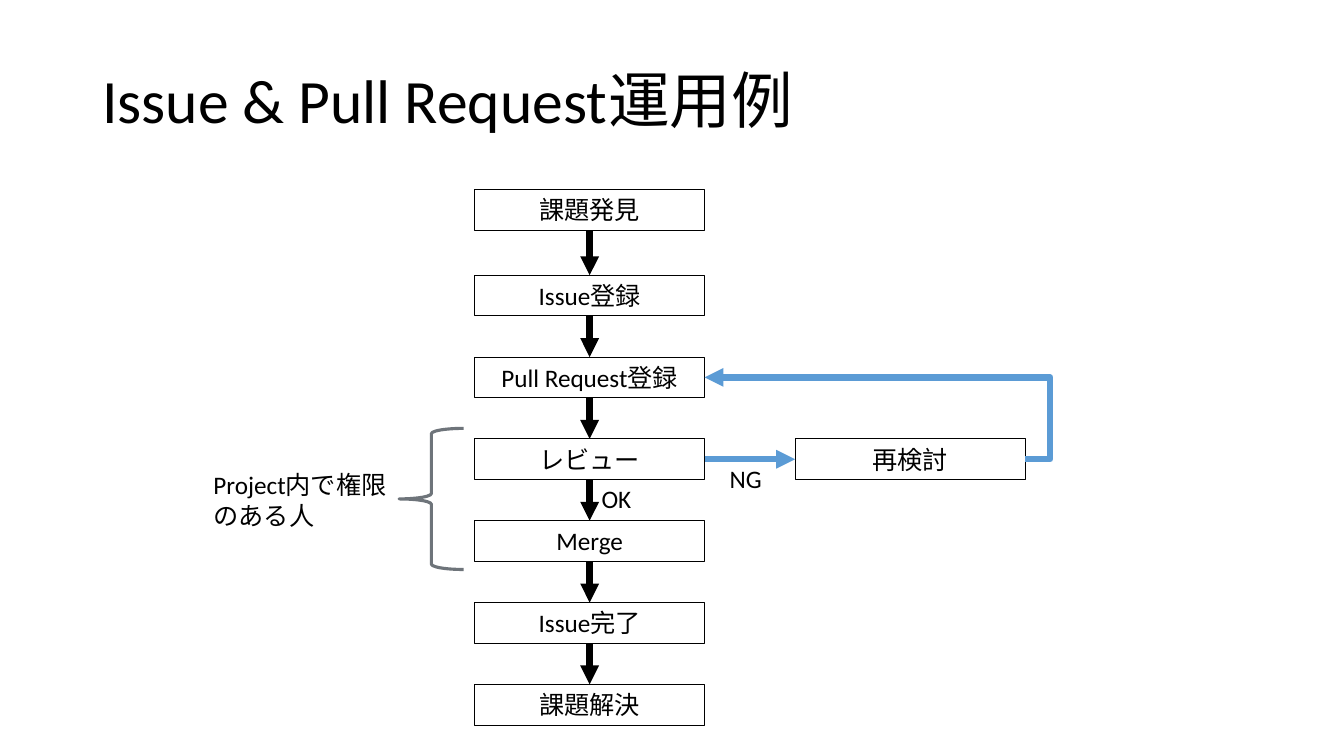
from lxml import etree
from pptx import Presentation
from pptx.dml.color import RGBColor
from pptx.enum.shapes import MSO_CONNECTOR, MSO_SHAPE
from pptx.enum.text import MSO_ANCHOR, MSO_AUTO_SIZE, PP_ALIGN
from pptx.oxml.ns import qn
from pptx.util import Pt

STRAIGHT, ELBOW = MSO_CONNECTOR.STRAIGHT, MSO_CONNECTOR.ELBOW
RECTANGLE, LEFT_BRACE = MSO_SHAPE.RECTANGLE, MSO_SHAPE.LEFT_BRACE
TOP, MIDDLE = MSO_ANCHOR.TOP, MSO_ANCHOR.MIDDLE
LEFT, CENTER = PP_ALIGN.LEFT, PP_ALIGN.CENTER
NO_FIT, GROW = MSO_AUTO_SIZE.NONE, MSO_AUTO_SIZE.SHAPE_TO_FIT_TEXT
TOP_SIDE, LEFT_SIDE, BOTTOM_SIDE, RIGHT_SIDE = range(4)

BLACK, BLUE, GRAY = "000000", "5B9BD5", "6E747A"
BOX_LEFT, BOX_WIDTH, BOX_HEIGHT = 339.1, 164.2, 29.1
REVIEW, MERGE, PULL_REQUEST = "レビュー", "Merge", "Pull Request登録"

presentation = Presentation()
presentation.slide_width, presentation.slide_height = Pt(960), Pt(540)
slide = presentation.slides.add_slide(presentation.slide_layouts[6])


def color(value):
    return RGBColor.from_string(value)


def add_text(text, left, top, width, height, size=18, align=LEFT, anchor=TOP,
             fit=GROW, spacing=1.0, outline=None):
    """Add a text box, or an outlined rectangle if outline is given."""
    area = Pt(left), Pt(top), Pt(width), Pt(height)
    if outline:
        shape = slide.shapes.add_shape(RECTANGLE, *area)
        shape.shadow.inherit = False
        shape.fill.background()
        shape.line.color.rgb = color(outline)
        shape.line.width = Pt(0.75)
    else:
        shape = slide.shapes.add_textbox(*area)
    frame = shape.text_frame
    frame.word_wrap = True
    frame.auto_size = fit
    frame.vertical_anchor = anchor
    paragraph = frame.paragraphs[0]
    paragraph.alignment = align
    paragraph.line_spacing = spacing
    run = paragraph.add_run()
    run.text = text
    run.font.name = "Calibri"
    run.font.size = Pt(size)
    run.font.color.rgb = color(BLACK)
    return shape


add_text("Issue & Pull Request運用例", 66, 21.6, 828, 104.4, size=44,
         anchor=MIDDLE, fit=NO_FIT, spacing=0.9)

# Steps of the main flow, evenly spaced after the first
later_steps = ["Issue登録", PULL_REQUEST, REVIEW, MERGE, "Issue完了", "課題解決"]
step_tops = {"課題発見": 135.5}
step_tops.update({step: 196.6 + 58.45 * i for i, step in enumerate(later_steps)})
boxes = {
    step: add_text(step, BOX_LEFT, top, BOX_WIDTH, BOX_HEIGHT,
                   align=CENTER, outline=BLACK)
    for step, top in step_tops.items()
}
rework = add_text("再検討", 568, step_tops[REVIEW], BOX_WIDTH, BOX_HEIGHT,
                  align=CENTER, outline=BLACK)

# Arrows: kind, start box and side, end box and side, colour
steps = list(boxes.values())
arrows = [(STRAIGHT, start, BOTTOM_SIDE, end, TOP_SIDE, BLACK)
          for start, end in zip(steps, steps[1:])]
arrows += [
    (STRAIGHT, boxes[REVIEW], RIGHT_SIDE, rework, LEFT_SIDE, BLUE),
    (ELBOW, rework, RIGHT_SIDE, boxes[PULL_REQUEST], RIGHT_SIDE, BLUE),
]
for kind, start, start_side, end, end_side, line_color in arrows:
    arrow = slide.shapes.add_connector(kind, 0, 0, 0, 0)
    arrow.begin_connect(start, start_side)
    arrow.end_connect(end, end_side)
    arrow.line.color.rgb = color(line_color)
    arrow.line.width = Pt(4.5)
    properties = arrow.line._get_or_add_ln()
    etree.SubElement(properties, qn("a:tailEnd"), type="triangle")
    etree.SubElement(arrow._element.spPr, qn("a:effectLst"))
    if kind == ELBOW:
        # Bend outside the right edge of the rework box
        arrow_guides = arrow._element.spPr.find(qn("a:prstGeom")).get_or_add_avLst()
        etree.SubElement(arrow_guides, qn("a:gd"), name="adj1", fmla="val -7900")

add_text("NG", 514.1, 327.6, 42.5, BOX_HEIGHT)
add_text("OK", 422.6, 342, 42.5, BOX_HEIGHT)
add_text("Project内で権限のある人", 145.4, 331.9, 139.7, 51.1)

brace = slide.shapes.add_shape(LEFT_BRACE, Pt(285.1), Pt(306), Pt(46.1), Pt(100.8))
brace.shadow.inherit = False
brace.fill.background()
brace.line.color.rgb = color(GRAY)
brace.line.width = Pt(2.25)

presentation.save("out.pptx")
